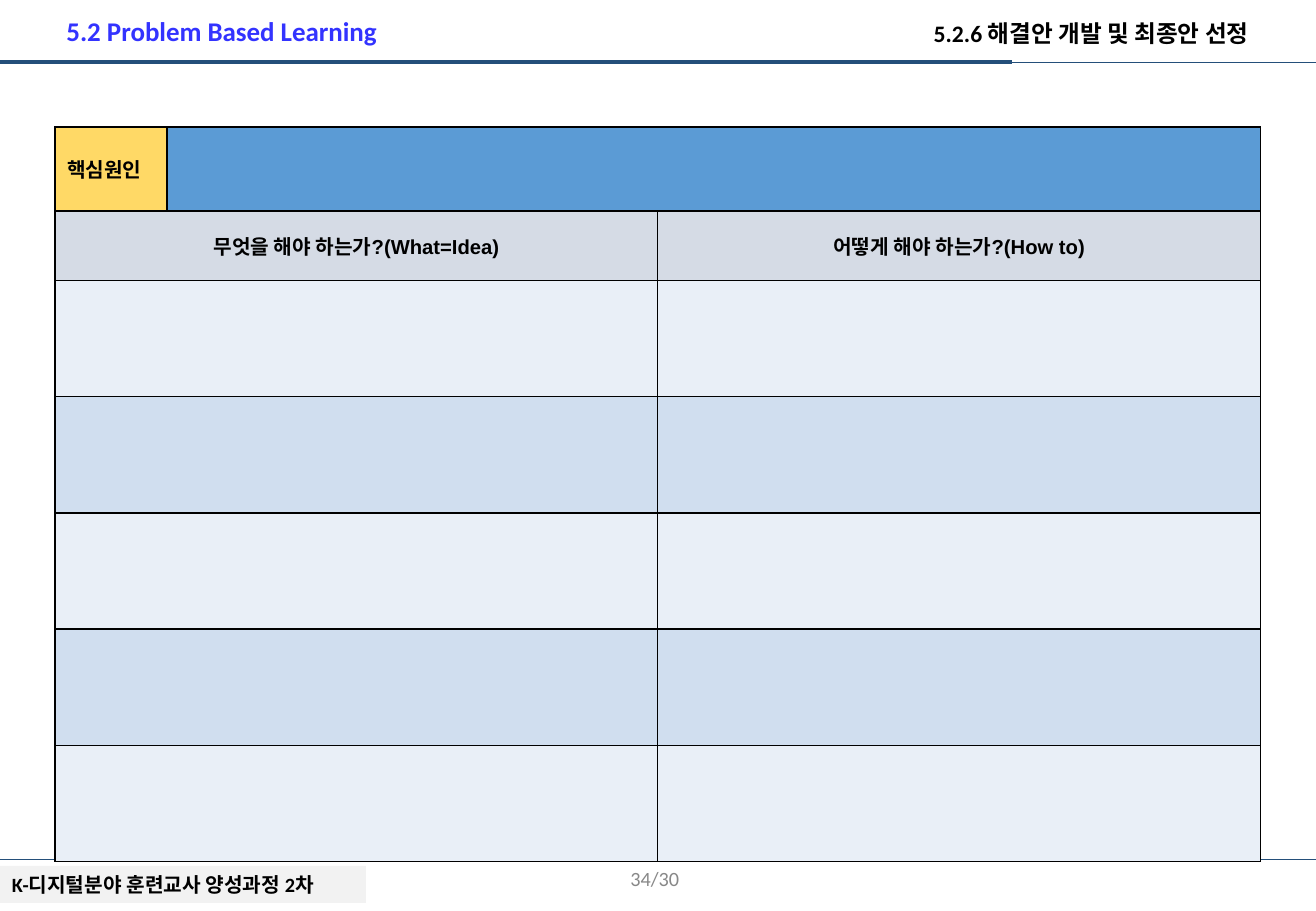
from lxml import etree
from pptx import Presentation
from pptx.dml.color import RGBColor
from pptx.enum.shapes import MSO_CONNECTOR, MSO_SHAPE
from pptx.enum.text import MSO_ANCHOR, PP_ALIGN
from pptx.oxml.ns import qn
from pptx.util import Cm, Pt

STRAIGHT = MSO_CONNECTOR.STRAIGHT
RECTANGLE = MSO_SHAPE.RECTANGLE
TOP, MIDDLE = MSO_ANCHOR.TOP, MSO_ANCHOR.MIDDLE
LEFT, CENTER, RIGHT = PP_ALIGN.LEFT, PP_ALIGN.CENTER, PP_ALIGN.RIGHT

BLACK = RGBColor(0x00, 0x00, 0x00)
NAVY = RGBColor(0x24, 0x4F, 0x7A)
TITLE_BLUE = RGBColor(0x33, 0x33, 0xFF)
PAGE_GRAY = RGBColor(0x88, 0x88, 0x88)
FOOTER_GRAY = RGBColor(0xF2, 0xF2, 0xF2)
CAUSE_YELLOW = RGBColor(0xFF, 0xD9, 0x66)
CAUSE_BLUE = RGBColor(0x5B, 0x9B, 0xD5)
HEADING_GRAY = RGBColor(0xD5, 0xDB, 0xE5)
PALE_BAND = RGBColor(0xE9, 0xEF, 0xF7)
DEEP_BAND = RGBColor(0xD0, 0xDE, 0xEF)

SLIDE_WIDTH, SLIDE_HEIGHT = 27.51, 19.05


def write_text(frame, text, size=12, font="Calibri", color=BLACK, bold=True,
               align=LEFT, anchor=TOP):
    frame.word_wrap = True
    frame.vertical_anchor = anchor
    paragraph = frame.paragraphs[0]
    paragraph.alignment = align
    run = paragraph.add_run()
    run.text = text
    run.font.size = Pt(size)
    run.font.name = font
    run.font.bold = bold
    run.font.color.rgb = color


def add_label(slide, box, text, **text_format):
    label = slide.shapes.add_textbox(*map(Cm, box))
    write_text(label.text_frame, text, **text_format)


def add_rule(slide, left, y, length, weight):
    rule = slide.shapes.add_connector(
        STRAIGHT, Cm(left), Cm(y), Cm(left + length), Cm(y))
    rule.line.color.rgb = NAVY
    rule.line.width = Pt(weight)
    etree.SubElement(rule._element.spPr, qn("a:effectLst"))


def add_header(slide, left, top, width, height):
    add_rule(slide, left, top + height, width, 0.75)
    add_rule(slide, left, top + height, 21.16, 2.5)
    add_label(slide, (left + 18.36, top + 0.28, 8, 0.86),
              "5.2.6 해결안 개발 및 최종안 선정", size=14, align=RIGHT)
    add_label(slide, (left + 1.14, top + 0.18, 8.36, 0.94),
              "5.2 Problem Based Learning", size=16, color=TITLE_BLUE)


def add_footer(slide, left, top, width, height):
    course = slide.shapes.add_shape(
        RECTANGLE, Cm(left), Cm(top + 0.13), Cm(7.65), Cm(0.77))
    course.shadow.inherit = False
    course.fill.solid()
    course.fill.fore_color.rgb = FOOTER_GRAY
    course.line.fill.background()
    write_text(course.text_frame, "K-디지털분야 훈련교사 양성과정 2차")
    add_rule(slide, left, top, width, 0.75)


def add_page_number(slide, left, top, width, height):
    add_label(slide, (left, top, width, height), "34/30",
              color=PAGE_GRAY, bold=False, align=RIGHT, anchor=MIDDLE)


def add_borders(cell):
    properties = cell._tc.get_or_add_tcPr()
    for position, side in enumerate(("lnL", "lnR", "lnT", "lnB")):
        border = etree.Element(qn(f"a:{side}"), w=str(Pt(1)))
        fill = etree.SubElement(border, qn("a:solidFill"))
        etree.SubElement(fill, qn("a:srgbClr"), val=str(BLACK))
        properties.insert(position, border)


def add_solution_table(slide, left, top, width, height):
    cause_width, cause_height, heading_height = 2.34, 1.75, 1.45
    idea_width = width / 2 - cause_width
    idea_rows = 5
    idea_height = (height - cause_height - heading_height) / idea_rows
    column_widths = [cause_width, idea_width, width / 2]
    row_heights = [cause_height, heading_height] + [idea_height] * idea_rows
    bands = [DEEP_BAND if row % 2 else PALE_BAND for row in range(idea_rows)]
    row_fills = [CAUSE_BLUE, HEADING_GRAY] + bands

    table = slide.shapes.add_table(
        len(row_heights), len(column_widths),
        Cm(left), Cm(top), Cm(width), Cm(height)).table
    for column, column_width in zip(table.columns, column_widths):
        column.width = Cm(column_width)
    for index, (row_height, row_fill) in enumerate(zip(row_heights, row_fills)):
        table.rows[index].height = Cm(row_height)
        for cell in table.rows[index].cells:
            cell.fill.solid()
            cell.fill.fore_color.rgb = row_fill
            add_borders(cell)
        first = 1 if index == 0 else 0
        table.cell(index, first).merge(table.cell(index, first + 1))

    cause = table.cell(0, 0)
    cause.fill.fore_color.rgb = CAUSE_YELLOW
    for row, column, text, align in (
            (0, 0, "핵심원인", LEFT),
            (1, 0, "무엇을 해야 하는가?(What=Idea)", CENTER),
            (1, 2, "어떻게 해야 하는가?(How to)", CENTER)):
        cell = table.cell(row, column)
        write_text(cell.text_frame, text, font="Arial", align=align)
        cell.vertical_anchor = MIDDLE


def main():
    presentation = Presentation()
    presentation.slide_width = Cm(SLIDE_WIDTH)
    presentation.slide_height = Cm(SLIDE_HEIGHT)
    slide = presentation.slides.add_slide(presentation.slide_layouts[6])
    add_footer(slide, 0, 17.98, SLIDE_WIDTH, 1.07)
    add_header(slide, 0, 0, SLIDE_WIDTH, 1.3)
    add_solution_table(slide, 1.15, 2.66, 25.2, 15.36)
    add_page_number(slide, 8.25, 17.86, 6.2, 1.02)
    presentation.save("out.pptx")


if __name__ == "__main__":
    main()
